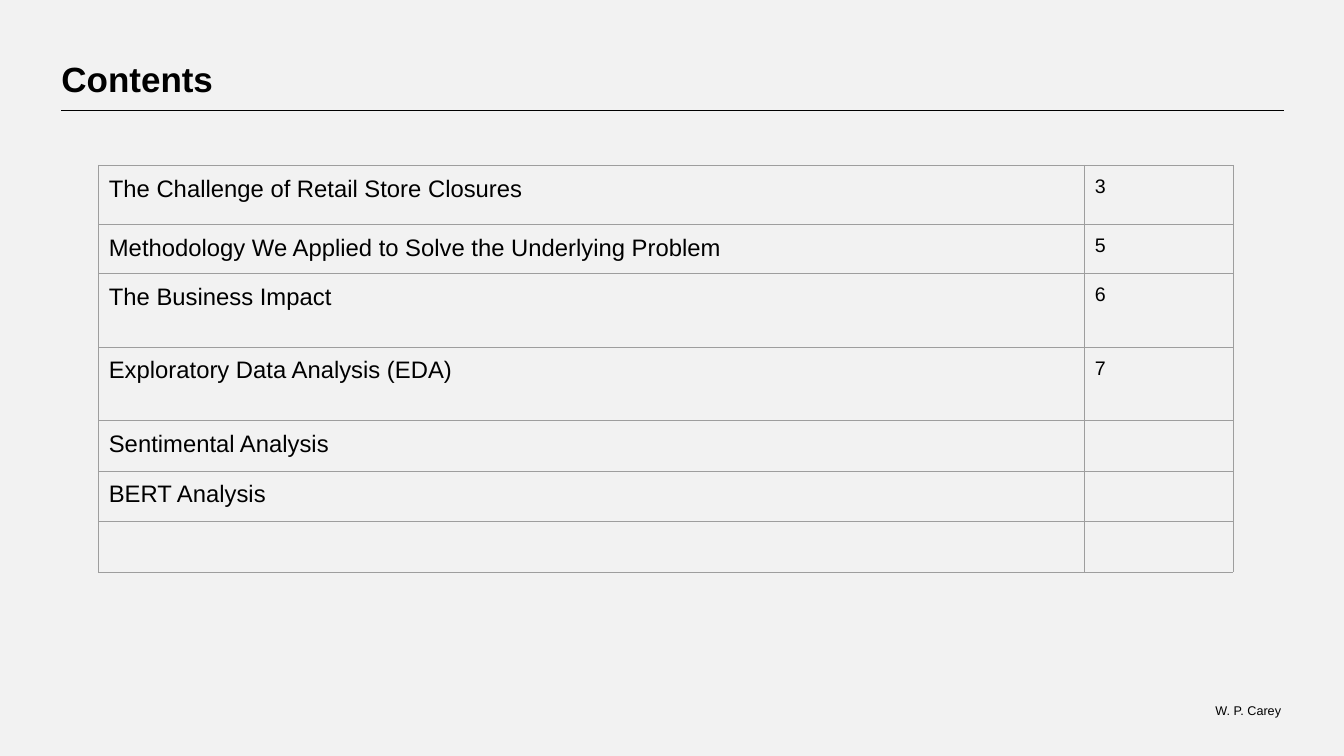
from lxml.etree import SubElement
from pptx import Presentation
from pptx.dml.color import RGBColor
from pptx.enum.shapes import MSO_CONNECTOR as Connector
from pptx.enum.text import MSO_ANCHOR as Anchor, PP_ALIGN as Align
from pptx.oxml.ns import qn
from pptx.util import Inches, Pt

COLORS = {"background": "F2F2F2", "text": "000000", "border": "9E9E9E"}
FONT = "Arial"
CONTENTS = [
    # topic, page, row height
    ("The Challenge of Retail Store Closures", "3", 0.59),
    ("Methodology We Applied to Solve the Underlying Problem", "5", 0.47),
    ("The Business Impact", "6", 0.73),
    ("Exploratory Data Analysis (EDA)", "7", 0.73),
    ("Sentimental Analysis", "", 0.48),
    ("BERT Analysis", "", 0.48),
    ("", "", 0.48),
]
COLUMNS = [(9.78, 17), (1.47, 14)]  # width, text size


def color(name):
    return RGBColor.from_string(COLORS[name])


def set_margins(target, inches):
    for side in ("left", "right", "top", "bottom"):
        setattr(target, f"margin_{side}", Inches(inches))


def add_run(paragraph, text, size, bold=False):
    run = paragraph.add_run()
    run.text = text
    for name, value in {"name": FONT, "size": Pt(size), "bold": bold}.items():
        setattr(run.font, name, value)
    run.font.color.rgb = color("text")


def add_text(slide, box, text, size, anchor, align, bold=False, wrap=True):
    frame = slide.shapes.add_textbox(*map(Inches, box)).text_frame
    set_margins(frame, 0)
    frame.word_wrap = wrap
    frame.vertical_anchor = anchor
    paragraph = frame.paragraphs[0]
    paragraph.alignment = align
    add_run(paragraph, text, size, bold)


def add_rule(slide, left, right, top):
    line = slide.shapes.add_connector(
        Connector.STRAIGHT, Inches(left), Inches(top), Inches(right), Inches(top))
    line.line.color.rgb = color("text")
    line.line.width = Pt(0.75)
    SubElement(line._element.spPr, qn("a:effectLst"))


def add_borders(cell):
    properties = cell._tc.get_or_add_tcPr()
    for edge in ("a:lnL", "a:lnR", "a:lnT", "a:lnB"):
        border = SubElement(properties, qn(edge), w=str(Pt(0.75)))
        fill = SubElement(border, qn("a:solidFill"))
        SubElement(fill, qn("a:srgbClr"), val=COLORS["border"])


def fill_cell(cell, text, size):
    set_margins(cell, 0.1)
    add_borders(cell)
    cell.fill.background()
    if text:
        add_run(cell.text_frame.paragraphs[0], text, size)


def add_contents_table(slide, left, top):
    width = sum(column[0] for column in COLUMNS)
    height = sum(row[2] for row in CONTENTS)
    table = slide.shapes.add_table(
        len(CONTENTS), len(COLUMNS),
        *map(Inches, (left, top, width, height))).table
    table.first_row = table.horz_banding = False
    for column, (column_width, _) in zip(table.columns, COLUMNS):
        column.width = Inches(column_width)
    for row, (topic, page, row_height) in zip(table.rows, CONTENTS):
        row.height = Inches(row_height)
        for cell, text, (_, size) in zip(row.cells, (topic, page), COLUMNS):
            fill_cell(cell, text, size)


def main():
    presentation = Presentation()
    presentation.slide_width = Inches(13.33)
    presentation.slide_height = Inches(7.5)
    slide = presentation.slides.add_slide(presentation.slide_layouts[6])
    slide.background.fill.solid()
    slide.background.fill.fore_color.rgb = color("background")

    # Footer
    add_text(slide, (12.04, 6.97, 0.68, 0.15), "W. P. Carey", 9,
             Anchor.MIDDLE, Align.CENTER, wrap=False)

    # Heading
    add_rule(slide, 0.61, 12.73, 1.1)
    add_text(slide, (0.61, 0.19, 11.11, 0.8), "Contents", 25,
             Anchor.BOTTOM, Align.LEFT, bold=True)

    # Table of contents
    add_contents_table(slide, 0.98, 1.64)

    presentation.save("out.pptx")


if __name__ == "__main__":
    main()
